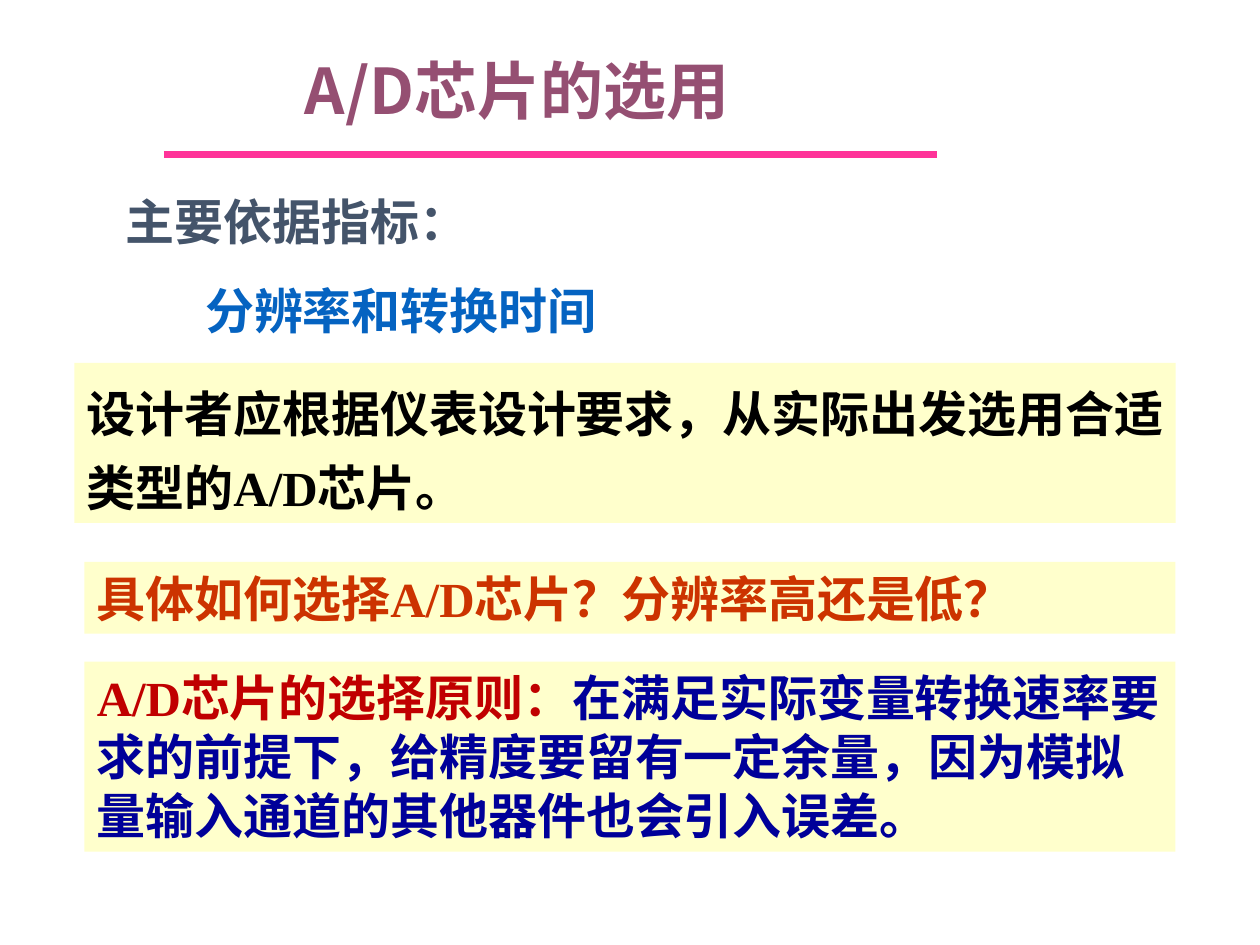
from pptx import Presentation
from pptx.dml.color import RGBColor
from pptx.enum.shapes import MSO_CONNECTOR, MSO_SHAPE
from pptx.enum.text import MSO_ANCHOR, MSO_AUTO_SIZE, PP_ALIGN
from pptx.oxml.ns import qn
from pptx.util import Inches, Pt

RECTANGLE = MSO_SHAPE.RECTANGLE
STRAIGHT = MSO_CONNECTOR.STRAIGHT
TOP = MSO_ANCHOR.TOP
LEFT = PP_ALIGN.LEFT
GROW = MSO_AUTO_SIZE.SHAPE_TO_FIT_TEXT

CREAM = RGBColor(0xFF, 0xFF, 0xCC)
BLACK = RGBColor(0x00, 0x00, 0x00)
PLUM = RGBColor(0x95, 0x4F, 0x72)
SLATE = RGBColor(0x44, 0x54, 0x6A)
BLUE = RGBColor(0x05, 0x63, 0xC1)
NAVY = RGBColor(0x00, 0x00, 0x99)
RED = RGBColor(0xC0, 0x00, 0x00)
ORANGE = RGBColor(0xCC, 0x33, 0x00)
PINK = RGBColor(0xFF, 0x33, 0x99)

TITLE_FONT = "Noto Sans CJK JP"
HEADING_FONT = "Comic Neue"
BODY_FONT = "Times New Roman"
TITLE_SIZE = Pt(36)
BODY_SIZE = Pt(28)


class SlideBuilder:
    def __init__(self, page):
        self.page = page

    def fill_text(self, shape, spans, font, size=BODY_SIZE, spacing=1.0):
        frame = shape.text_frame
        frame.word_wrap = True
        frame.auto_size = GROW
        frame.vertical_anchor = TOP
        para = frame.paragraphs[0]
        para.alignment = LEFT
        para.line_spacing = spacing
        para.font.name = font
        para.font.size = size
        para.font.bold = True
        for text, color in spans:
            span = para.add_run()
            span.text = text
            span.font.color.rgb = color

    def title(self, left, top, width, height, text, color):
        box = self.page.shapes.title
        box.left, box.top = Inches(left), Inches(top)
        box.width, box.height = Inches(width), Inches(height)
        self.fill_text(box, [(text, color)], TITLE_FONT, TITLE_SIZE)

    def heading(self, left, top, width, height, text, color):
        box = self.page.shapes.add_textbox(
            Inches(left), Inches(top), Inches(width), Inches(height))
        self.fill_text(box, [(text, color)], HEADING_FONT)

    def panel(self, left, top, width, height, spans, spacing=1.0):
        box = self.page.shapes.add_shape(
            RECTANGLE, Inches(left), Inches(top), Inches(width), Inches(height))
        box.shadow.inherit = False
        box.fill.solid()
        box.fill.fore_color.rgb = CREAM
        box.line.fill.background()
        self.fill_text(box, spans, BODY_FONT, spacing=spacing)

    def rule(self, left, right, y, color, weight):
        line = self.page.shapes.add_connector(
            STRAIGHT, Inches(left), Inches(y), Inches(right), Inches(y))
        line.line.color.rgb = color
        line.line.width = Pt(weight)
        properties = line._element.spPr
        properties.append(properties.makeelement(qn("a:effectLst"), {}))


def main():
    deck = Presentation()
    deck.slide_width, deck.slide_height = Inches(10), Inches(7.5)
    builder = SlideBuilder(deck.slides.add_slide(deck.slide_layouts[5]))

    builder.title(2.32, 0.36, 4.25, 0.7, "A/D芯片的选用", PLUM)
    builder.rule(1.3, 7.44, 1.23, PINK, 4)
    builder.heading(0.9, 1.47, 3.07, 0.57, "主要依据指标：", SLATE)
    builder.heading(1.53, 2.18, 5.91, 0.57, "分辨率和转换时间", BLUE)
    builder.panel(0.59, 2.88, 8.74, 1.27, [
        ("设计者应根据仪表设计要求，从实际出发选用合适类型的A/D芯片。", BLACK),
    ], spacing=1.25)
    builder.panel(0.67, 4.46, 8.66, 0.57, [
        ("具体如何选择A/D芯片？分辨率高还是低？", ORANGE),
    ])
    builder.panel(0.67, 5.25, 8.66, 1.51, [
        ("A/D芯片的选择原则：", RED),
        ("在满足实际变量转换速率要求的前提下，给精度要留有一定余量，"
         "因为模拟量输入通道的其他器件也会引入误差。", NAVY),
    ])
    deck.save("out.pptx")


if __name__ == "__main__":
    main()
